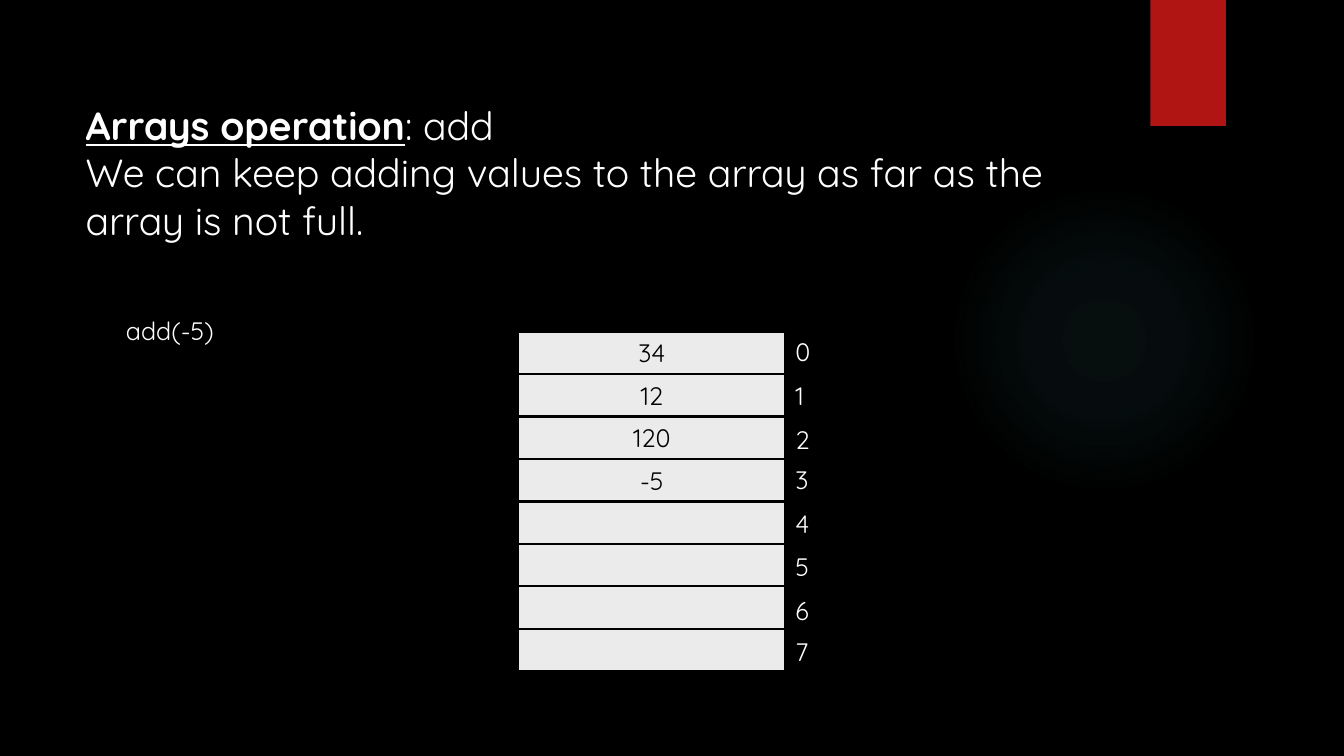
from dataclasses import dataclass

from lxml import etree
from pptx import Presentation
from pptx.dml.color import RGBColor
from pptx.enum.shapes import MSO_SHAPE
from pptx.enum.text import MSO_ANCHOR, PP_ALIGN
from pptx.oxml.ns import qn
from pptx.shapes.autoshape import Shape
from pptx.slide import Slide
from pptx.text.text import TextFrame
from pptx.util import Inches, Pt

COLORS = {
    "black": "000000",
    "white": "FFFFFF",
    "red": "B01513",
    "slot": "EBEBEB",
    "glow": "50B9C1",
}
FONT = "Quicksand"
ARRAY_LEFT, ARRAY_TOP, ARRAY_WIDTH, ARRAY_HEIGHT = 5.14, 3.29, 2.65, 3.37
GLOW_STOPS = ((0, 7), (36, 6), (69, 0))


@dataclass(frozen=True)
class Slot:
    value: str
    index_top: float


SLOTS = (
    Slot("34", 3.29),
    Slot("12", 3.72),
    Slot("120", 4.16),
    Slot("-5", 4.56),
    Slot("", 4.99),
    Slot("", 5.42),
    Slot("", 5.86),
    Slot("", 6.26),
)


def color(name: str) -> RGBColor:
    return RGBColor.from_string(COLORS[name])


def write_text(frame: TextFrame, text: str, *, size: float = 18,
               fill: str = "white", align: PP_ALIGN = PP_ALIGN.LEFT,
               heading: str = "") -> None:
    frame.word_wrap = True
    for number, line in enumerate(text.split("\n")):
        paragraph = frame.paragraphs[0] if number == 0 else frame.add_paragraph()
        paragraph.alignment = align
        parts = [(heading, True)] if heading and number == 0 else []
        for content, emphasized in parts + [(line, False)]:
            run = paragraph.add_run()
            run.text = content
            run.font.name = FONT
            run.font.size = Pt(size)
            run.font.bold = emphasized
            run.font.underline = emphasized
            run.font.color.rgb = color(fill)


def add_label(slide: Slide, left: float, top: float, width: float,
              height: float, text: str, *, size: float = 18,
              heading: str = "") -> None:
    box = slide.shapes.add_textbox(
        Inches(left), Inches(top), Inches(width), Inches(height))
    write_text(box.text_frame, text, size=size, heading=heading)


def add_block(slide: Slide, kind: MSO_SHAPE, left: float, top: float,
              width: float, height: float, fill: str) -> Shape:
    shape = slide.shapes.add_shape(
        kind, Inches(left), Inches(top), Inches(width), Inches(height))
    shape.shadow.inherit = False
    shape.fill.solid()
    shape.fill.fore_color.rgb = color(fill)
    shape.line.fill.background()
    return shape


def add_glow(slide: Slide) -> None:
    glow = add_block(slide, MSO_SHAPE.OVAL, 9.41, 1.83, 3.08, 3.08, "glow")
    properties = glow._element.spPr
    gradient = etree.Element(qn("a:gradFill"), rotWithShape="1")
    stops = etree.SubElement(gradient, qn("a:gsLst"))
    for position, opacity in GLOW_STOPS:
        stop = etree.SubElement(stops, qn("a:gs"), pos=str(position * 1000))
        tint = etree.SubElement(stop, qn("a:srgbClr"), val=COLORS["glow"])
        etree.SubElement(tint, qn("a:alpha"), val=str(opacity * 1000))
    circle = etree.SubElement(gradient, qn("a:path"), path="circle")
    etree.SubElement(circle, qn("a:fillToRect"),
                     l="50000", t="50000", r="50000", b="50000")
    properties.replace(properties.find(qn("a:solidFill")), gradient)


def add_array(slide: Slide) -> None:
    slot_height = ARRAY_HEIGHT / len(SLOTS)
    for index, slot in enumerate(SLOTS):
        cell = add_block(slide, MSO_SHAPE.RECTANGLE, ARRAY_LEFT,
                         ARRAY_TOP + index * slot_height,
                         ARRAY_WIDTH, slot_height, "slot")
        cell.line.color.rgb = color("black")
        cell.line.width = Pt(1.5)
        if slot.value:
            cell.text_frame.vertical_anchor = MSO_ANCHOR.MIDDLE
            write_text(cell.text_frame, slot.value, fill="black",
                       align=PP_ALIGN.CENTER)
        add_label(slide, ARRAY_LEFT + ARRAY_WIDTH, slot.index_top,
                  0.34, 0.4, str(index))


def main() -> None:
    presentation = Presentation()
    presentation.slide_width = Inches(13.33)
    presentation.slide_height = Inches(7.5)
    slide = presentation.slides.add_slide(presentation.slide_layouts[6])
    slide.background.fill.solid()
    slide.background.fill.fore_color.rgb = color("black")

    add_glow(slide)
    add_block(slide, MSO_SHAPE.RECTANGLE, 11.41, 0, 0.75, 1.25, "red")
    add_label(slide, 0.75, 0.96, 10.46, 1.51,
              ": add\nWe can keep adding values to the array as far as the\n"
              "array is not full.",
              size=28, heading="Arrays operation")
    add_label(slide, 1.15, 3.08, 1.13, 0.4, "add(-5)")
    add_array(slide)
    presentation.save("out.pptx")


if __name__ == "__main__":
    main()
